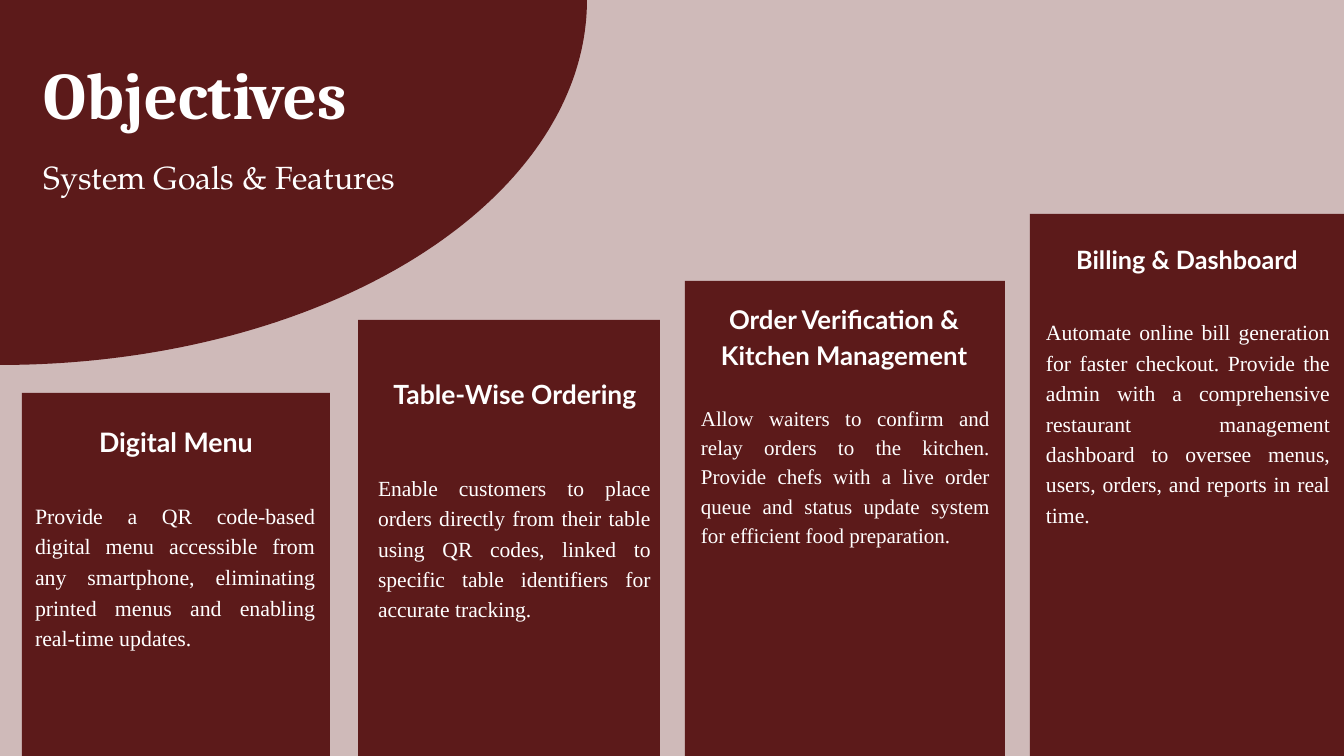
import math

from pptx import Presentation
from pptx import util as u
from pptx.dml.color import RGBColor
from pptx.enum import shapes, text

SCALE = 914400 / 67.2  # EMU per px
LEADING = 1.4  # line pitch as a multiple of the font size
COLORS = {"back": "CFBAB9", "maroon": "5C1A1A", "text": "FFFFFF"}
ALIGN = text.PP_ALIGN

# Card box; heading box and body box relative to the card; font sizes.
CARDS = [
    {
        "box": (1030, 214, 314, 542),
        "heading": ("Billing & Dashboard", (45, 25, 224, 33), 27),
        "body": (
            "Automate online bill generation for faster checkout. Provide the "
            "admin with a comprehensive restaurant management dashboard to "
            "oversee menus, users, orders, and reports in real time.",
            (16, 101, 284, 210), 23.2),
    },
    {
        "box": (685, 281, 320, 475),
        "heading": ("Order Verification & Kitchen Management", (13, 18, 292, 69), 27.6),
        "body": (
            "Allow waiters to confirm and relay orders to the kitchen. Provide "
            "chefs with a live order queue and status update system for "
            "efficient food preparation.",
            (16, 120, 289, 144), 22.5),
    },
    {
        "box": (358, 320, 302, 467),
        "heading": ("Table-Wise Ordering", (15, 53, 284, 34), 28.3),
        "body": (
            "Enable customers to place orders directly from their table using "
            "QR codes, linked to specific table identifiers for accurate "
            "tracking.",
            (20, 151, 273, 149), 23.1),
    },
    {
        "box": (22, 393, 308, 407),
        "heading": ("Digital Menu", (30, 27, 248, 35), 28.7),
        "body": (
            "Provide a QR code-based digital menu accessible from any "
            "smartphone, eliminating printed menus and enabling real-time "
            "updates.",
            (13, 105, 280, 151), 23.4),
    },
]


def px(length):
    return u.Emu(round(length * SCALE))


def color(name):
    return RGBColor.from_string(COLORS[name])


def paint(shape):
    shape.shadow.inherit = False
    shape.fill.solid()
    shape.fill.fore_color.rgb = color("maroon")
    shape.line.fill.background()


def add_text(page, words, box, size, font, align=ALIGN.LEFT, bold=False):
    frame = page.shapes.add_textbox(*map(px, box)).text_frame
    frame.margin_left = frame.margin_top = frame.margin_right = frame.margin_bottom = 0
    frame.word_wrap = True
    frame.auto_size = text.MSO_AUTO_SIZE.SHAPE_TO_FIT_TEXT
    para = frame.paragraphs[0]
    para.text = words
    para.alignment = align
    para.line_spacing = u.Pt(round(size * LEADING, 1))
    para.font.name = font
    para.font.size = u.Pt(size)
    para.font.bold = bold
    para.font.color.rgb = color("text")


def add_header(page, box):
    """Quarter ellipse centred on the box's top left corner, with the titles."""
    left, top, width, height = box
    steps = 90
    arc = [
        (px(left + width * math.cos(angle)), px(top + height * math.sin(angle)))
        for angle in (math.pi / 2 * step / steps for step in range(steps + 1))
    ]
    builder = page.shapes.build_freeform(px(left), px(top))
    builder.add_line_segments(arc, close=True)
    paint(builder.convert_to_shape())
    add_text(page, "Objectives", (left + 44, top + 40, 671, 89), 71, "Cambria", bold=True)
    add_text(page, "System Goals & Features", (left + 44, top + 151, 621, 42),
             34.3, "TeX Gyre Pagella")


def add_card(page, box, heading, body):
    left, top = box[:2]
    paint(page.shapes.add_shape(shapes.MSO_SHAPE.RECTANGLE, *map(px, box)))
    for (words, (x, y, width, height), size), font, align, bold in (
        (heading, "Lato", ALIGN.CENTER, True),
        (body, "Times New Roman", ALIGN.JUSTIFY, False),
    ):
        add_text(page, words, (left + x, top + y, width, height), size, font, align, bold)


def main():
    deck = Presentation()
    deck.slide_width, deck.slide_height = px(1344), px(756)
    page = deck.slides.add_slide(deck.slide_layouts[6])
    page.background.fill.solid()
    page.background.fill.fore_color.rgb = color("back")
    add_header(page, (0, 0, 587, 365))
    for card in CARDS:
        add_card(page, **card)
    deck.save("out.pptx")


if __name__ == "__main__":
    main()
